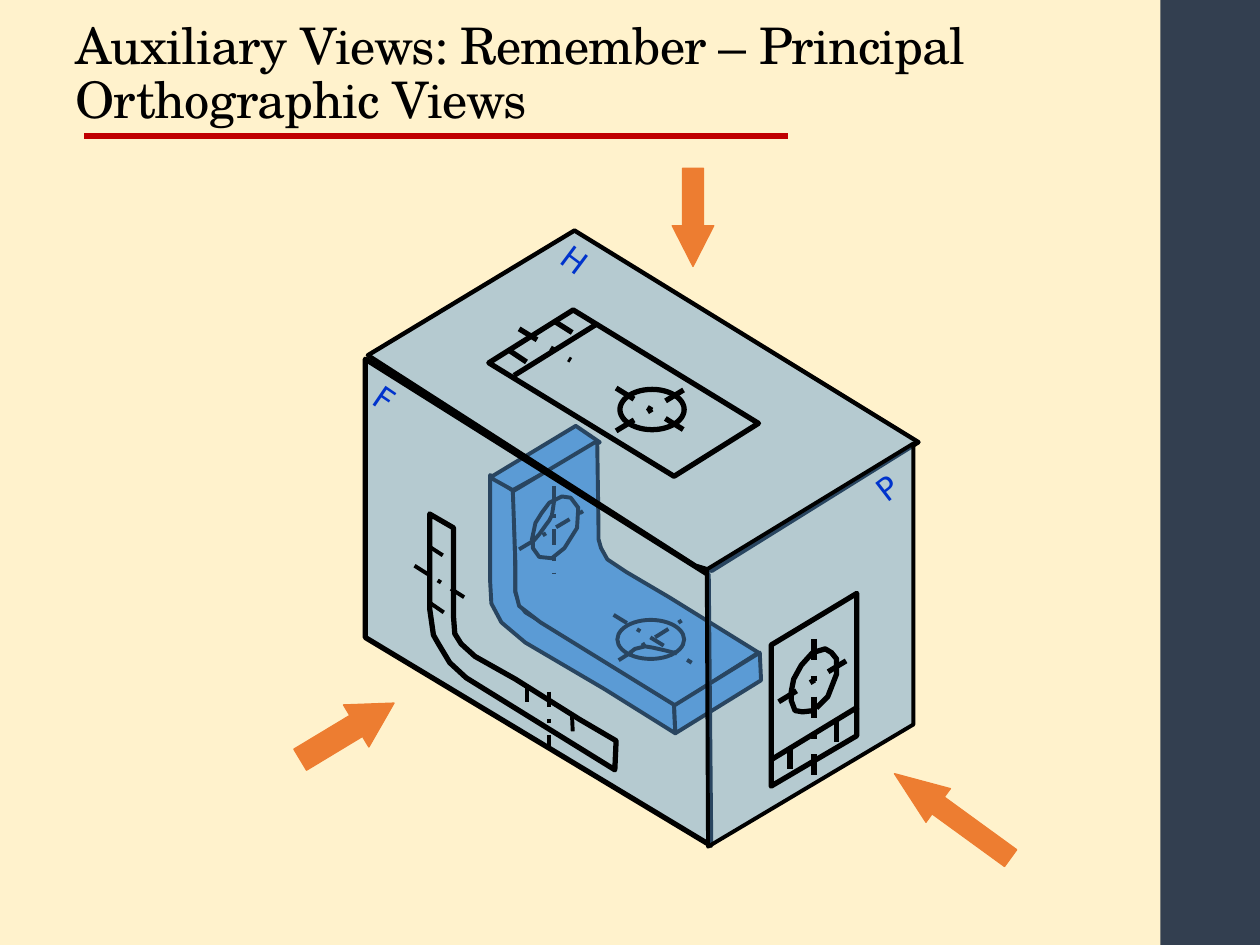
from dataclasses import dataclass

import pptx
import pptx.dml.color
import pptx.enum.dml
import pptx.enum.shapes
import pptx.enum.text
import pptx.oxml.ns
import pptx.util
from lxml import etree

Inches, Pt = pptx.util.Inches, pptx.util.Pt
RGB = pptx.dml.color.RGBColor.from_string
SHAPE = pptx.enum.shapes.MSO_SHAPE
DASH = pptx.enum.dml.MSO_LINE.DASH
CENTER = pptx.enum.dml.MSO_LINE.DASH_DOT
qn = pptx.oxml.ns.qn


@dataclass
class Theme:
    paper: str = "FFF2CC"
    band: str = "333F50"
    rule: str = "C00000"
    ink: str = "000000"
    blue: str = "5B9BD5"
    label: str = "0033CC"
    arrow: str = "ED7D31"
    title_font: str = "TeX Gyre Schola"
    label_font: str = "DejaVu Sans"
    title_size: float = 28.8
    label_size: float = 18
    thin: float = 2.25
    thick: float = 3


theme = Theme()


def outline(shapes, pts, width, fill=None, alpha=None, closed=True):
    """Draw a polygon or open polyline through points given in inches."""
    pts = [(Inches(x), Inches(y)) for x, y in pts]
    fb = shapes.build_freeform(*pts[0], scale=1.0)
    fb.add_line_segments(pts[1:], close=closed)
    sp = fb.convert_to_shape()
    sp.shadow.inherit = False
    sp.line.color.rgb = RGB(theme.ink)
    sp.line.width = Pt(width)
    if fill is None:
        sp.fill.background()
        return
    sp.fill.solid()
    sp.fill.fore_color.rgb = RGB(fill)
    if alpha:
        color = sp._element.spPr.find(qn("a:solidFill")).find(qn("a:srgbClr"))
        etree.SubElement(color, qn("a:alpha"), val=str(alpha * 1000))


def segment(shapes, ends, width, color, dash=None):
    c = shapes.add_connector(pptx.enum.shapes.MSO_CONNECTOR.STRAIGHT,
                             *[Inches(v) for v in ends])
    c.line.color.rgb = RGB(color)
    c.line.width = Pt(width)
    if dash:
        c.line.dash_style = dash
    etree.SubElement(c._element.spPr, qn("a:effectLst"))


prs = pptx.Presentation()
prs.slide_width, prs.slide_height = Inches(10), Inches(7.5)
s = prs.slides.add_slide(prs.slide_layouts[5])
s.background.fill.solid()
s.background.fill.fore_color.rgb = RGB(theme.paper)

# Side band, title and rule
sp = s.shapes.add_shape(SHAPE.RECTANGLE, Inches(9.21), 0, Inches(0.8), Inches(7.5))
sp.shadow.inherit = False
sp.fill.solid()
sp.fill.fore_color.rgb = RGB(theme.band)
sp.line.fill.background()
segment(s.shapes, (0.67, 1.08, 6.25, 1.08), theme.thick, theme.rule)

title = s.shapes.title
title.left, title.top = Inches(0.5), Inches(0.08)
title.width, title.height = Inches(7.95), Inches(1)
tf = title.text_frame
tf.word_wrap = True
tf.auto_size = pptx.enum.text.MSO_AUTO_SIZE.NONE
tf.vertical_anchor = pptx.enum.text.MSO_ANCHOR.BOTTOM
p = tf.paragraphs[0]
p.alignment = pptx.enum.text.PP_ALIGN.LEFT
p.line_spacing = 0.9
p.font.name, p.font.size = theme.title_font, Pt(theme.title_size)
p.font.color.rgb = RGB(theme.ink)
r = p.add_run()
r.text = "Auxiliary Views: Remember – Principal Orthographic Views"
r._r.get_or_add_rPr().set("spc", "-50")

# Each part: line width, filled faces, closed outlines, open curves, ellipses, lines
bracket = dict(
    width=theme.thin,
    faces=[
        [(3.89, 3.77), (3.89, 4.61), (3.9, 4.79), (3.98, 4.94), (4.17, 5.1), (4.8, 5.47),
         (5.36, 5.82), (5.35, 5.59), (4.32, 4.95), (4.17, 4.86), (4.12, 4.79),
         (4.09, 4.7), (4.09, 4.54), (4.08, 3.9)],
        [(3.89, 3.79), (4.57, 3.38), (4.76, 3.51), (4.07, 3.89)],
        [(4.74, 3.5), (4.75, 4.19), (4.75, 4.28), (4.77, 4.35), (4.82, 4.44), (4.97, 4.54),
         (5.31, 4.74), (6.02, 5.18), (5.36, 5.6), (4.29, 4.94), (4.12, 4.81),
         (4.09, 4.69), (4.09, 4.45), (4.07, 3.9)],
        [(5.36, 5.82), (5.35, 5.6), (6.03, 5.18), (6.04, 5.4)],
    ],
    curves=[
        [(4.22, 4.29), (4.25, 4.15), (4.3, 4.07), (4.36, 3.99), (4.46, 3.94), (4.53, 3.95),
         (4.59, 4.03), (4.58, 4.19), (4.48, 4.35), (4.38, 4.43), (4.28, 4.42),
         (4.23, 4.35), (4.23, 4.24)],
        [(5, 5.18), (5.04, 5.15), (5.08, 5.14), (5.12, 5.13), (5.18, 5.14), (5.27, 5.16),
         (5.35, 5.18)],
        [(4.4, 3.96), (4.39, 4.03), (4.38, 4.09), (4.36, 4.13), (4.33, 4.17), (4.28, 4.24),
         (4.22, 4.31)],
    ],
    ellipses=[(4.9, 4.92, 0.53, 0.31)],
    lines=[(4.87, 4.88, 5.49, 5.26, CENTER), (4.91, 5.24, 5.45, 4.9, CENTER),
           (4.4, 3.86, 4.4, 4.55, CENTER), (4.12, 4.36, 4.69, 4.02, CENTER)],
)
top_view = dict(
    width=theme.thick,
    outlines=[[(3.88, 2.88), (5.35, 3.78), (6.02, 3.36), (4.55, 2.46)]],
    ellipses=[(4.92, 3.09, 0.51, 0.32)],
    lines=[(4.04, 2.78, 4.22, 2.9, DASH), (4.4, 2.55, 4.59, 2.67, DASH),
           (4.12, 2.61, 4.53, 2.86, CENTER), (4.89, 3.08, 5.44, 3.42, CENTER),
           (4.89, 3.42, 5.45, 3.08, CENTER), (4.08, 2.98, 4.74, 2.57, None)],
)
front_view = dict(
    width=theme.thick,
    line_width=theme.thin,
    outlines=[[(3.41, 4.08), (3.6, 4.19), (3.6, 4.9), (3.61, 5.03), (3.66, 5.11),
               (3.77, 5.21), (4.09, 5.39), (4.6, 5.71), (4.89, 5.88), (4.88, 6.11),
               (3.7, 5.38), (3.57, 5.26), (3.48, 5.11), (3.44, 5.04), (3.41, 4.83)]],
    lines=[(3.41, 4.34, 3.58, 4.45, DASH), (3.42, 4.79, 3.58, 4.9, DASH),
           (3.29, 4.49, 3.7, 4.75, CENTER), (4.18, 5.45, 4.18, 5.67, DASH),
           (4.54, 5.68, 4.55, 5.9, DASH), (4.36, 5.49, 4.36, 5.94, CENTER)],
)
side_view = dict(
    width=theme.thick,
    outlines=[[(6.12, 5.12), (6.8, 4.71), (6.8, 5.84), (6.12, 6.24)]],
    curves=[[(6.46, 5.64), (6.37, 5.65), (6.31, 5.64), (6.28, 5.56), (6.28, 5.49),
             (6.3, 5.39), (6.36, 5.28), (6.45, 5.18), (6.55, 5.15), (6.6, 5.18),
             (6.64, 5.23), (6.64, 5.35), (6.57, 5.53), (6.48, 5.62)]],
    lines=[(6.18, 5.57, 6.74, 5.23, CENTER), (6.12, 6.03, 6.81, 5.61, None),
           (6.46, 5.07, 6.46, 6.2, CENTER), (6.27, 5.94, 6.27, 6.16, DASH),
           (6.64, 5.72, 6.64, 5.93, DASH)],
)
glass_box = [
    (2.5, [(2.92, 2.82), (4.56, 1.83), (7.29, 3.51), (5.65, 4.53), (5.52, 4.49)]),
    (theme.thick, [(2.9, 2.85), (2.9, 5.06), (5.64, 6.71), (5.62, 4.56)]),
    (theme.thin, [(5.61, 4.52), (7.25, 3.52), (7.25, 5.75), (5.62, 6.72)]),
]

for part in (bracket, top_view, front_view, side_view):
    shapes = s.shapes.add_group_shape().shapes
    width = part["width"]
    for pts in part.get("faces", []):
        outline(shapes, pts, width, theme.blue)
    for pts in part.get("outlines", []):
        outline(shapes, pts, width)
    for pts in part.get("curves", []):
        outline(shapes, pts, width, closed=False)
    for box in part.get("ellipses", []):
        sp = shapes.add_shape(SHAPE.OVAL, *[Inches(v) for v in box])
        sp.shadow.inherit = False
        sp.fill.background()
        sp.line.color.rgb = RGB(theme.ink)
        sp.line.width = Pt(width)
    for *ends, dash in part["lines"]:
        segment(shapes, ends, part.get("line_width", width), theme.ink, dash)
    if part is bracket:
        for pane_width, pts in glass_box:
            outline(s.shapes, pts, pane_width, theme.blue, alpha=45)

# Plane labels
for text, x, y, w, angle, wrap in [("F", 2.88, 2.97, 0.36, 34.2, True),
                                   ("P", 6.86, 3.66, 0.39, 322.5, True),
                                   ("H", 4.37, 1.86, 0.39, 36.9, False)]:
    sp = s.shapes.add_textbox(Inches(x), Inches(y), Inches(w), Inches(0.4))
    sp.rotation = angle
    tf = sp.text_frame
    tf.word_wrap = wrap
    tf.auto_size = pptx.enum.text.MSO_AUTO_SIZE.SHAPE_TO_FIT_TEXT
    p = tf.paragraphs[0]
    p.text = text
    p.font.name, p.font.size = theme.label_font, Pt(theme.label_size)
    p.font.color.rgb = RGB(theme.label)

# Viewing directions
for *box, angle, head in [(2.32, 5.61, 0.87, 0.39, 328.9, 0.9),
                          (5.11, 1.56, 0.78, 0.33, 90, 0.98),
                          (6.99, 6.31, 1.14, 0.33, 216, 1.3)]:
    sp = s.shapes.add_shape(SHAPE.RIGHT_ARROW, *[Inches(v) for v in box])
    sp.rotation = angle
    sp.adjustments[1] = head
    sp.shadow.inherit = False
    sp.fill.solid()
    sp.fill.fore_color.rgb = sp.line.color.rgb = RGB(theme.arrow)
    sp.line.width = Pt(0.75)

prs.save("out.pptx")
